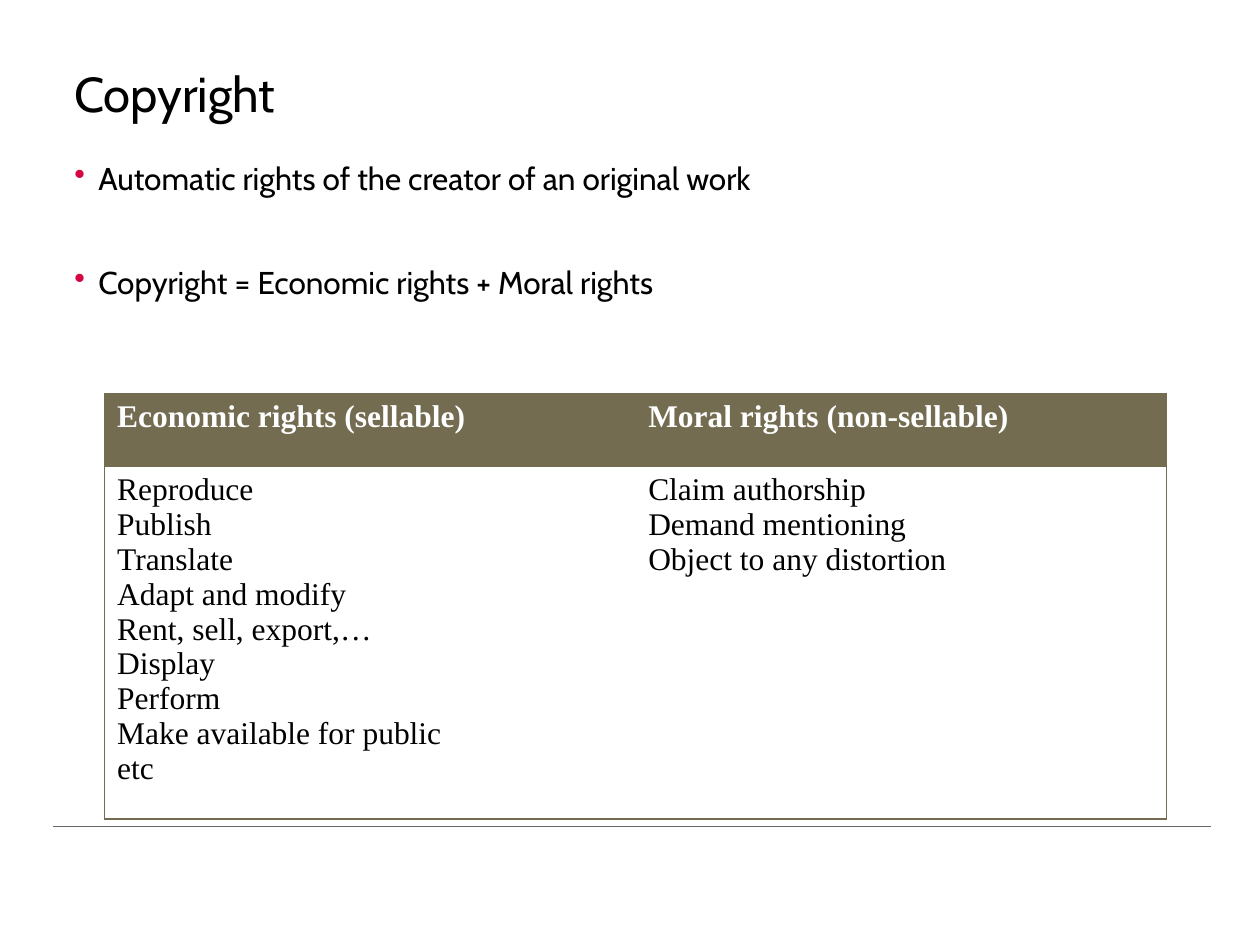
import pptx
import pptx.util
import pptx.dml.color
import pptx.enum.shapes
import pptx.enum.text
import pptx.oxml.ns
import lxml.etree

WIDE, HIGH = 10, 7.5
INK = {"text": "000000", "head": "FFFFFF", "band": "736C51",
       "dot": "D50641", "rule": "666666"}
FONT = {"main": "Cabin", "grid": "Times New Roman"}
HEADS = ["Economic rights (sellable)", "Moral rights (non-sellable)"]
RIGHTS = [
    ["Reproduce", "Publish", "Translate", "Adapt and modify",
     "Rent, sell, export,…", "Display", "Perform",
     "Make available for public", "etc"],
    ["Claim authorship", "Demand mentioning", "Object to any distortion"],
]
POINTS = ["Automatic rights of the creator of an original work",
          "Copyright = Economic rights + Moral rights"]


def inch(size):
    return pptx.util.Inches(size)


def share(x, y):
    """Turn shares of the slide into a length across and a length down."""
    return inch(x * WIDE), inch(y * HIGH)


def tint(name):
    return pptx.dml.color.RGBColor.from_string(INK[name])


def node(up, tag, **attrs):
    return lxml.etree.SubElement(up, pptx.oxml.ns.qn(tag), attrs)


def write(frame, lines, font="main", size=18, color="text", bold=False,
          space=None, first=0, gap=0, dot=None):
    """Fill a text frame, one paragraph for each line."""
    frame.word_wrap = True
    for i, line in enumerate(lines):
        para = frame.paragraphs[0] if i == 0 else frame.add_paragraph()
        para.alignment = pptx.enum.text.PP_ALIGN.LEFT
        para.space_before = pptx.util.Pt(gap if i else first)
        if space:
            para.line_spacing = space
        if dot:
            props = para._p.get_or_add_pPr()
            props.set("marL", str(inch(0.19)))
            props.set("indent", str(-inch(0.19)))
            node(node(props, "a:buClr"), "a:srgbClr", val=INK[dot])
            node(props, "a:buChar", char="•")
        run = para.add_run()
        run.text = line
        run.font.name = FONT[font]
        run.font.size = pptx.util.Pt(size)
        run.font.bold = bold
        run.font.color.rgb = tint(color)


def box(slide, x, y, w, h, lines, **style):
    frame = slide.shapes.add_textbox(*share(x, y), *share(w, h)).text_frame
    frame.margin_left = frame.margin_right = 0
    frame.margin_top = frame.margin_bottom = 0
    write(frame, lines, **style)


def rule(slide, x, y, end):
    line = slide.shapes.add_connector(
        pptx.enum.shapes.MSO_CONNECTOR.STRAIGHT, *share(x, y), *share(end, y))
    line.line.color.rgb = tint("rule")
    line.line.width = pptx.util.Pt(0.5)
    node(line._element.spPr, "a:effectLst")


def edge(cell, sides):
    """Draw the named sides of a cell and clear the others."""
    props = cell._tc.get_or_add_tcPr()
    for side in "LRTB":
        line = node(props, "a:ln" + side, w=str(pptx.util.Pt(0.75)))
        if side in sides:
            node(node(line, "a:solidFill"), "a:srgbClr", val=INK["band"])
        else:
            node(line, "a:noFill")


def grid(slide, x, y, w, rows):
    high = sum(rows)
    table = slide.shapes.add_table(
        2, 2, *share(x, y), *share(w, high)).table
    for row, part in zip(table.rows, rows):
        row.height = share(0, part)[1]
    for col, outer in enumerate("LR"):
        head, body = table.cell(0, col), table.cell(1, col)
        edge(head, outer + "TB")
        edge(body, outer + "TB")
        head.fill.solid()
        head.fill.fore_color.rgb = tint("band")
        body.fill.background()
        write(head.text_frame, [HEADS[col]], font="grid", color="head",
              bold=True)
        write(body.text_frame, RIGHTS[col], font="grid")


def main():
    deck = pptx.Presentation()
    deck.slide_width, deck.slide_height = share(1, 1)
    slide = deck.slides.add_slide(deck.slide_layouts[6])
    # Footer rule
    rule(slide, 0.042, 0.875, 0.961)
    # Title and points
    box(slide, 0.059, 0.5 / HIGH, 0.885, 0.55 / HIGH, ["Copyright"], size=28)
    box(slide, 0.059, 1.23 / HIGH, 0.89, 0.68, POINTS,
        space=1.1, first=6, gap=36, dot="dot")
    # Table of rights
    grid(slide, 0.083, 3.12 / HIGH, 0.843, [0.58 / HIGH, 2.8 / HIGH])
    deck.save("out.pptx")


main()
